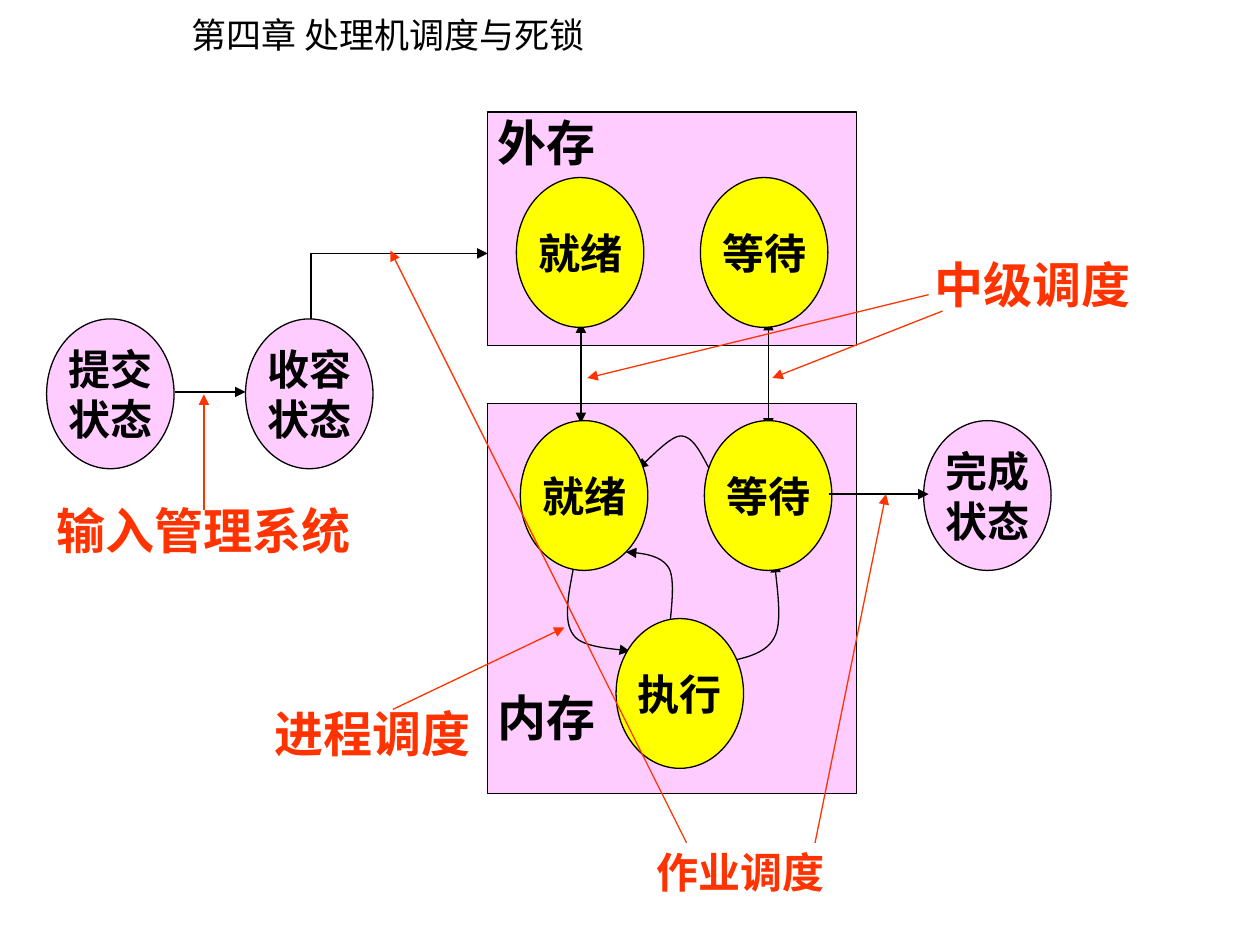
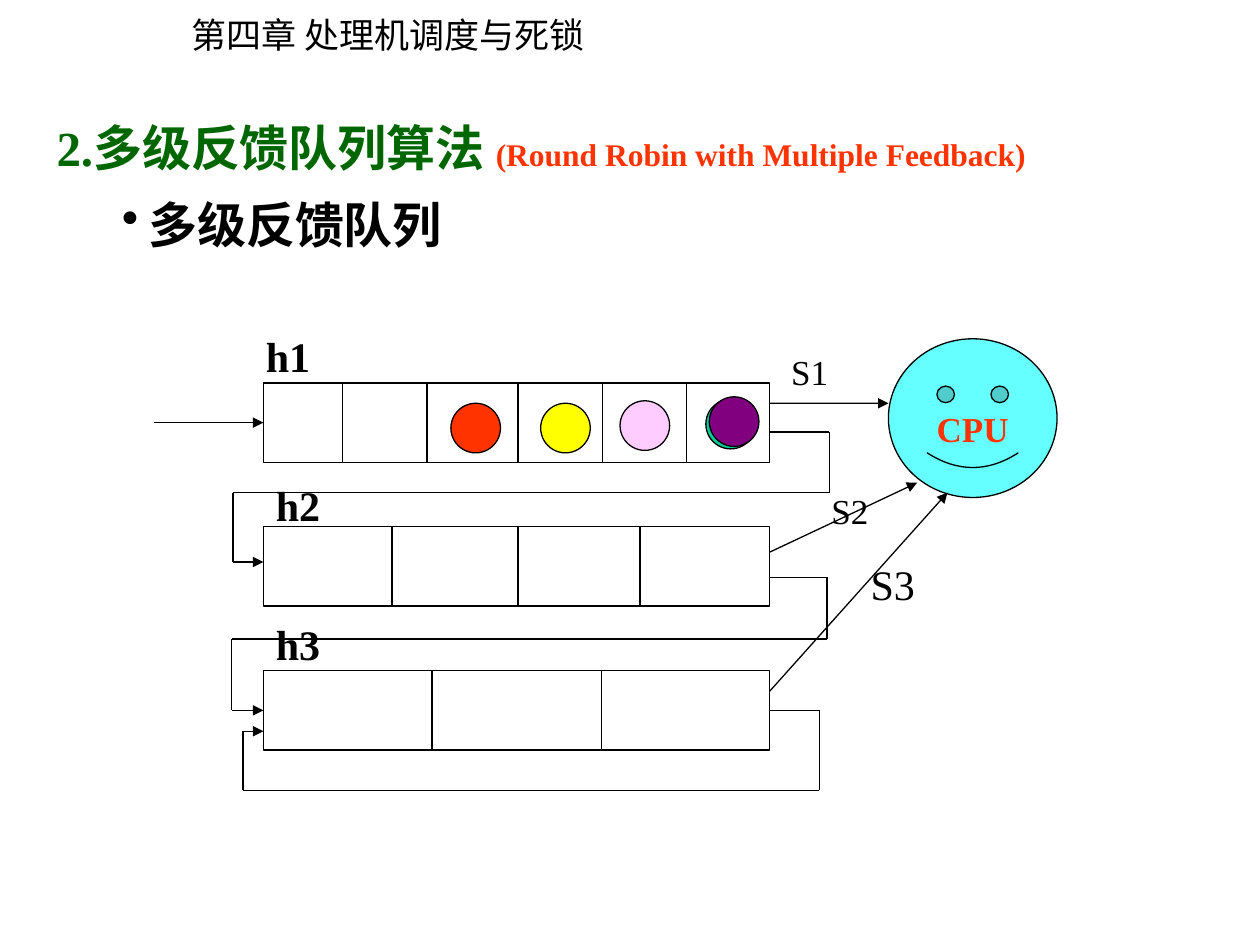
from dataclasses import dataclass
from itertools import pairwise

from lxml import etree
from pptx import Presentation
from pptx.dml.color import RGBColor
from pptx.enum.shapes import MSO_CONNECTOR, MSO_SHAPE
from pptx.enum.text import MSO_ANCHOR, PP_ALIGN
from pptx.oxml.ns import qn
from pptx.util import Cm, Pt

STRAIGHT = MSO_CONNECTOR.STRAIGHT
RECTANGLE, OVAL, SMILEY = MSO_SHAPE.RECTANGLE, MSO_SHAPE.OVAL, MSO_SHAPE.SMILEY_FACE
MIDDLE, TOP = MSO_ANCHOR.MIDDLE, MSO_ANCHOR.TOP
CENTER, LEFT = PP_ALIGN.CENTER, PP_ALIGN.LEFT
LEFT_SITE, RIGHT_SITE = 1, 3


@dataclass(frozen=True)
class Theme:
    black: str = "000000"
    red: str = "FF3300"
    green: str = "006600"
    pink: str = "FFCCFF"
    yellow: str = "FFFF00"
    cyan: str = "66FFFF"
    teal: str = "00CC99"
    purple: str = "800080"
    latin: str = "Times New Roman"
    chinese: str = "Noto Sans CJK JP"
    heading: int = 28
    label: int = 24
    small: int = 20
    note: int = 18
    line: float = 0.75


@dataclass(frozen=True)
class Box:
    left: float
    top: float
    width: float
    height: float

    def at(self, x, y):
        return self.left + x, self.top + y

    def inner(self, x, y, width, height):
        return Box(self.left + x, self.top + y, width, height)

    def frame(self):
        return [Cm(value) for value in (self.left, self.top, self.width, self.height)]


THEME = Theme()
STATE_SIZE = (2.57, 3.02)


def add_run(paragraph, text, size, color=THEME.black, bold=True, latin=THEME.latin):
    run = paragraph.add_run()
    run.text = text
    for name, value in {"size": Pt(size), "bold": bold, "name": latin}.items():
        setattr(run.font, name, value)
    run.font.color.rgb = RGBColor.from_string(color)
    east_asian = etree.SubElement(run.font._element, qn("a:ea"))
    east_asian.set("typeface", THEME.chinese)


def set_frame(shape, wrap, anchor=TOP, margin_top=0.13):
    values = {
        "word_wrap": wrap,
        "vertical_anchor": anchor,
        "margin_left": Cm(0.25),
        "margin_right": Cm(0.25),
        "margin_top": Cm(margin_top),
        "margin_bottom": Cm(0.13),
    }
    for name, value in values.items():
        setattr(shape.text_frame, name, value)


def add_label(slide, box, text, size, wrap=True, **style):
    shape = slide.shapes.add_textbox(*box.frame())
    set_frame(shape, wrap)
    add_run(shape.text_frame.paragraphs[0], text, size, **style)


def style_line(item, color=THEME.black, head=False, tail=False):
    item.line.color.rgb = RGBColor.from_string(color)
    item.line.width = Pt(THEME.line)
    outline = item._element.spPr.find(qn("a:ln"))
    for tag, wanted in (("a:headEnd", head), ("a:tailEnd", tail)):
        if wanted:
            etree.SubElement(outline, qn(tag)).set("type", "triangle")


def add_figure(slide, kind, box, fill=None, lines=(), size=THEME.label,
               color=THEME.black, margin_top=0.13):
    shape = slide.shapes.add_shape(kind, *box.frame())
    shape.shadow.inherit = False
    if fill:
        shape.fill.solid()
        shape.fill.fore_color.rgb = RGBColor.from_string(fill)
    else:
        shape.fill.background()
    style_line(shape)
    set_frame(shape, False, MIDDLE, margin_top)
    for index, text in enumerate(lines):
        frame = shape.text_frame
        paragraph = frame.add_paragraph() if index else frame.paragraphs[0]
        paragraph.alignment = CENTER
        add_run(paragraph, text, size, color)
    return shape


def add_line(slide, start, end, start_joint=None, end_joint=None, **style):
    connector = slide.shapes.add_connector(STRAIGHT, *map(Cm, (*start, *end)))
    if start_joint:
        connector.begin_connect(*start_joint)
    if end_joint:
        connector.end_connect(*end_joint)
    style_line(connector, **style)
    etree.SubElement(connector._element.spPr, qn("a:effectLst"))


def add_route(slide, points, start_joint=None, end_joint=None):
    legs = list(pairwise(points))
    for index, (start, end) in enumerate(legs):
        last = index == len(legs) - 1
        add_line(slide, start, end, None if index else start_joint,
                 end_joint if last else None, tail=last)


def bezier_points(controls, steps=16):
    points = [controls[0]]
    for first in range(0, len(controls) - 1, 3):
        a, b, c, d = controls[first:first + 4]
        for step in range(1, steps + 1):
            t = step / steps
            weights = ((1 - t) ** 3, 3 * t * (1 - t) ** 2, 3 * t * t * (1 - t), t ** 3)
            points.append(tuple(
                sum(w * p[axis] for w, p in zip(weights, (a, b, c, d))) for axis in (0, 1)
            ))
    return points


def add_curved_arrow(slide, box, controls):
    points = [tuple(map(Cm, box.at(*point))) for point in bezier_points(controls)]
    builder = slide.shapes.build_freeform(*points[0], scale=1.0)
    builder.add_line_segments(points[1:], close=False)
    curve = builder.convert_to_shape()
    curve.shadow.inherit = False
    curve.fill.background()
    style_line(curve, tail=True)


def add_state(slide, box, x, y, lines, fill):
    add_figure(slide, OVAL, box.inner(x, y, *STATE_SIZE), fill, lines)


def draw_storage(slide, box, name, name_y):
    add_figure(slide, RECTANGLE, box, THEME.pink)
    add_label(slide, box.inner(-0.05, name_y, 2.95, 1.45), name, THEME.heading)


def draw_external_states(slide, box):
    for x, top, bottom in ((1.88, 4.24, 6.27), (5.66, 4.19, 6.38)):
        add_line(slide, box.at(x, top), box.at(x, bottom), head=True, tail=True)
    for x, name in ((0.58, "就绪"), (4.29, "等待")):
        add_state(slide, box, x, 1.32, [name], THEME.yellow)


def draw_memory_states(slide, box):
    transitions = {
        "ready_to_running": [(1.73, 3.33), (1.63, 3.86), (1.52, 4.39), (1.73, 4.67),
                             (1.91, 4.95), (2.67, 4.95), (2.87, 5)],
        "running_to_ready": [(3.66, 4.67), (3.66, 4.45), (3.81, 3.61), (3.66, 3.33),
                             (3.51, 3.07), (3.15, 3.02), (2.79, 3)],
        "running_to_waiting": [(4.83, 5.21), (5.23, 5.13), (5.64, 5.03), (5.79, 4.7),
                               (5.97, 4.37), (5.79, 3.45), (5.79, 3.2)],
        "waiting_to_ready": [(4.47, 1.32), (4.29, 0.99), (4.14, 0.66), (3.89, 0.66),
                             (3.66, 0.66), (3.18, 1.22), (3.02, 1.32)],
    }
    for controls in transitions.values():
        add_curved_arrow(slide, box, controls)
    for x, y, name in ((0.66, 0.35, "就绪"), (4.37, 0.35, "等待"), (2.59, 4.34, "执行")):
        add_state(slide, box, x, y, [name], THEME.yellow)


def draw_submission(slide, box):
    for x, name in ((0, "提交"), (4.01, "收容")):
        add_state(slide, box, x, 0, [name, "状态"], THEME.pink)
    add_line(slide, box.at(2.59, 1.47), box.at(4.01, 1.47), tail=True)
    add_route(slide, [box.at(5.33, 0), box.at(5.33, -1.32), box.at(8.89, -1.32)])


def draw_completion(slide, box):
    add_state(slide, box, 0, 0, ["完成", "状态"], THEME.pink)
    add_line(slide, box.at(-1.91, 1.48), box.at(0.1, 1.48), tail=True)


def draw_callout(slide, box, text, size, arrows):
    add_label(slide, box, text, size, color=THEME.red)
    for start, end in arrows:
        add_line(slide, box.at(*start), box.at(*end), color=THEME.red, tail=True)


def draw_chapter(slide, box):
    add_label(slide, box, "第四章 处理机调度与死锁", THEME.small, wrap=False,
              bold=False, latin=THEME.chinese)


def draw_algorithm_title(slide, box):
    shape = slide.shapes.add_textbox(*box.frame())
    set_frame(shape, True)
    title = shape.text_frame.paragraphs[0]
    topic = shape.text_frame.add_paragraph()
    topic.level = 1
    topic.space_before = Pt(7)
    for paragraph, margin, indent in ((title, 0.79, -0.79), (topic, 1.85, -0.53)):
        properties = paragraph._p.get_or_add_pPr()
        properties.set("marL", str(Cm(margin)))
        properties.set("indent", str(Cm(indent)))
        paragraph.line_spacing = 1.1
        paragraph.alignment = LEFT
    bullet = etree.SubElement(topic._p.get_or_add_pPr(), qn("a:buChar"))
    bullet.set("char", "•")
    add_run(title, "2.多级反馈队列算法 ", THEME.heading, THEME.green)
    add_run(title, "(Round Robin with Multiple Feedback)", THEME.note, THEME.red)
    add_run(topic, "多级反馈队列", THEME.heading)


def draw_queue(slide, box, name, name_at, dividers):
    queue = add_figure(slide, RECTANGLE, box)
    for x in dividers:
        add_line(slide, box.at(x, 0), box.at(x, box.height))
    add_label(slide, box.inner(*name_at, 1.8, 1.27), name, THEME.label)
    return queue


def draw_feedback(slide, box, turns, start_joint=None, end_joint=None):
    exit_y, right, return_y, left, entry_y = turns
    right += box.width
    corners = [(box.width, exit_y), (right, exit_y), (right, return_y),
               (left, return_y), (left, entry_y), (0, entry_y)]
    add_route(slide, [box.at(*corner) for corner in corners], start_joint, end_joint)


def draw_waiting_jobs(slide, box):
    jobs = ((8.92, 0.33, THEME.teal), (7.19, 0.36, THEME.pink), (5.59, 0.41, THEME.yellow),
            (3.78, 0.41, THEME.red), (8.99, 0.28, THEME.purple))
    for x, y, color in jobs:
        add_figure(slide, OVAL, box.inner(x, y, 1, 1), color)


def draw_processor(slide, box):
    face = add_figure(slide, SMILEY, box, THEME.cyan, ["CPU"], THEME.small, THEME.red, 0.53)
    face.adjustments[0] = 0.05


def draw_dispatch(slide, queue_box, processor_box):
    lanes = (
        (queue_box(0), 0.41, (0, 1.3), "S1", (-2.21, 0.1), THEME.small),
        (queue_box(1), 0.51, (0.58, 2.9), "S2", (-1.4, 2.9), THEME.small),
        (queue_box(2), 0.41, (1.19, 3.1), "S3", (-0.61, 4.3), THEME.label),
    )
    for box, exit_y, target, name, name_at, size in lanes:
        add_line(slide, box.at(box.width, exit_y), processor_box.at(*target), tail=True)
        add_label(slide, processor_box.inner(*name_at, 2.39, 1.2), name, size, bold=False)


def build_scheduling_slide(slide):
    external, memory = Box(9.83, 2.26, 7.44, 4.7), Box(9.83, 8.13, 7.44, 7.87)
    draw_storage(slide, memory, "内存", 5.59)
    draw_storage(slide, external, "外存", -0.13)
    draw_submission(slide, Box(0.94, 6.43, 6.58, 3.02))
    draw_external_states(slide, external)
    draw_memory_states(slide, memory)
    draw_completion(slide, Box(18.62, 8.48, *STATE_SIZE))
    callouts = (
        (Box(0.89, 9.96, 6.71, 1.45), "输入管理系统", THEME.heading,
         [((3.22, 0.33), (3.22, -2.01))]),
        (Box(18.59, 5, 4.7, 1.45), "中级调度", THEME.heading,
         [((0.13, 0.94), (-6.75, 2.62)), ((0.41, 1.27), (-3.02, 2.62))]),
        (Box(5.28, 14.05, 4.57, 1.45), "进程调度", THEME.heading,
         [((2.64, 0.25), (6.1, -1.4))]),
        (Box(12.98, 16.94, 4.57, 1.27), "作业调度", THEME.label,
         [((3.45, 0.05), (4.88, -6.98)), ((0.86, 0.05), (-5.11, -11.89))]),
    )
    for callout in callouts:
        draw_callout(slide, *callout)


def build_feedback_slide(slide):
    def queue_box(index):
        return Box(5.31, 7.72 + 2.9 * index, 10.21, 1.6)

    processor = Box(17.91, 6.83, 3.4, 3.2)
    draw_processor(slide, processor)
    draw_algorithm_title(slide, Box(0.89, 2.13, 23.29, 4.44))
    specs = (
        ("h1", (-0.2, -1.19), (1.6, 3.3, 5.13, 6.83, 8.53)),
        ("h2", (0, -1.09), (2.59, 5.13, 7.59)),
        ("h3", (0, -1.19), (3.4, 6.81)),
    )
    queues = [draw_queue(slide, queue_box(index), *spec) for index, spec in enumerate(specs)]
    first = queue_box(0)
    add_line(slide, first.at(-2.21, 0.8), first.at(0, 0.8),
             end_joint=(queues[0], LEFT_SITE), tail=True)
    draw_waiting_jobs(slide, first)
    feedbacks = (
        ((0.99, 1.2, 2.21, -0.61, 3.61), None, None),
        ((1.02, 1.15, 2.26, -0.64, 3.7), None, (queues[2], LEFT_SITE)),
        ((0.8, 1, 2.41, -0.41, 1.22), (queues[2], RIGHT_SITE), None),
    )
    for index, feedback in enumerate(feedbacks):
        draw_feedback(slide, queue_box(index), *feedback)
    draw_dispatch(slide, queue_box, processor)


def main():
    presentation = Presentation()
    presentation.slide_width, presentation.slide_height = Cm(25.4), Cm(19.05)
    for build in (build_scheduling_slide, build_feedback_slide):
        slide = presentation.slides.add_slide(presentation.slide_layouts[6])
        draw_chapter(slide, Box(3.61, 0.15, 8.59, 1.12))
        build(slide)
    presentation.save("out.pptx")


if __name__ == "__main__":
    main()
